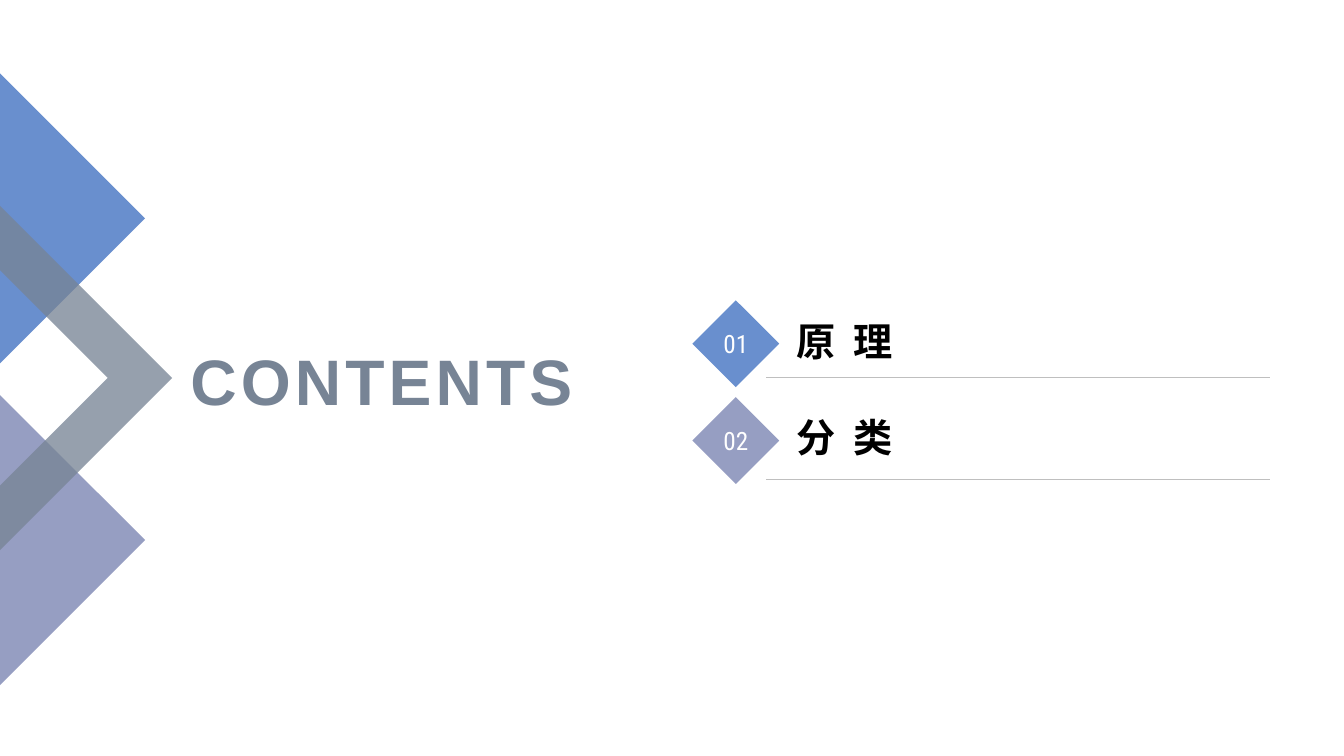
from lxml import etree
from pptx import Presentation
from pptx.dml.color import RGBColor
from pptx.enum import shapes, text
from pptx.oxml.ns import qn
from pptx.util import Pt

COLORS = {
    "blue": "698FCE",
    "lavender": "969EC2",
    "slate": "778495",
    "rule": "BFBFBF",
    "black": "000000",
    "white": "FFFFFF",
}
ALIGN = text.PP_ALIGN
ANCHOR = text.MSO_ANCHOR


def rgb(name):
    return RGBColor.from_string(COLORS[name])


def write(sp, words, size, color, font="Arial", bold=False, spacing=0,
          align=ALIGN.LEFT, anchor=ANCHOR.MIDDLE, wrap=True):
    """Put one formatted line into a shape; spacing is between letters, in points."""
    tf = sp.text_frame
    tf.word_wrap = wrap
    tf.vertical_anchor = anchor
    p = tf.paragraphs[0]
    p.alignment = align
    r = p.add_run()
    r.text = words
    r.font.name = font
    r.font.size = Pt(size)
    r.font.bold = bold
    r.font.color.rgb = rgb(color)
    if spacing:
        r._r.get_or_add_rPr().set("spc", str(round(spacing * 100)))


class ContentsSlide:
    def __init__(self, prs):
        self.s = prs.slides.add_slide(prs.slide_layouts[6])

    def paint(self, sp, color, opacity=100):
        sp.shadow.inherit = False
        sp.fill.solid()
        sp.fill.fore_color.rgb = rgb(color)
        sp.line.fill.background()
        if opacity < 100:
            clr = sp._element.spPr.find(qn("a:solidFill"))[0]
            etree.SubElement(clr, qn("a:alpha"), val=str(opacity * 1000))

    def polygon(self, points, color, opacity=100):
        corners = [(Pt(x), Pt(y)) for x, y in points]
        builder = self.s.shapes.build_freeform(*corners[0], scale=1.0)
        builder.add_line_segments(corners[1:], close=True)
        self.paint(builder.convert_to_shape(), color, opacity)

    def triangle(self, top, reach, color):
        """Right-pointing half diamond on the left slide edge."""
        self.polygon([(0, top), (reach, top + reach), (0, top + 2 * reach)], color)

    def chevron(self, middle, reach, inner, color, opacity):
        self.polygon([(reach, middle), (0, middle + reach), (0, middle + inner),
                      (inner, middle), (0, middle - inner), (0, middle - reach)],
                     color, opacity)

    def diamond(self, x, y, size, color, number):
        sp = self.s.shapes.add_shape(shapes.MSO_SHAPE.DIAMOND,
                                     Pt(x), Pt(y), Pt(size), Pt(size))
        self.paint(sp, color)
        write(sp, number, 18, "white", font="Roboto Condensed",
              align=ALIGN.CENTER, wrap=False)

    def label(self, x, y, w, h, words, size, color, **style):
        sp = self.s.shapes.add_textbox(Pt(x), Pt(y), Pt(w), Pt(h))
        write(sp, words, size, color, bold=True, **style)

    def rule(self, x1, x2, y):
        ln = self.s.shapes.add_connector(shapes.MSO_CONNECTOR.STRAIGHT,
                                         Pt(x1), Pt(y), Pt(x2), Pt(y))
        ln.line.color.rgb = rgb("rule")
        ln.line.width = Pt(0.25)
        etree.SubElement(ln._element.spPr, qn("a:effectLst"))


def main():
    prs = Presentation()
    prs.slide_width, prs.slide_height = Pt(960), Pt(540)
    slide = ContentsSlide(prs)

    slide.triangle(282.2, 103.6, "lavender")
    slide.triangle(52.4, 103.6, "blue")
    slide.chevron(270, 123, 77, "slate", opacity=77)
    slide.label(121.7, 234.7, 294.5, 72.7, "CONTENTS", 45.9, "slate",
                spacing=3, align=ALIGN.RIGHT)

    chapters = [("原 理", "blue"), ("分 类", "lavender")]
    for i, (title, color) in enumerate(chapters):
        top = 214.5 + 69.2 * i
        slide.diamond(494.6, top, 62, color, f"{i + 1:02}")
        slide.label(561.6, top + 25.2, 311.8, 23.8, title, 28, "black",
                    spacing=3.2, anchor=ANCHOR.BOTTOM)
        slide.rule(547.2, 907.2, 269.3 + 72.8 * i)

    prs.save("out.pptx")


if __name__ == "__main__":
    main()
